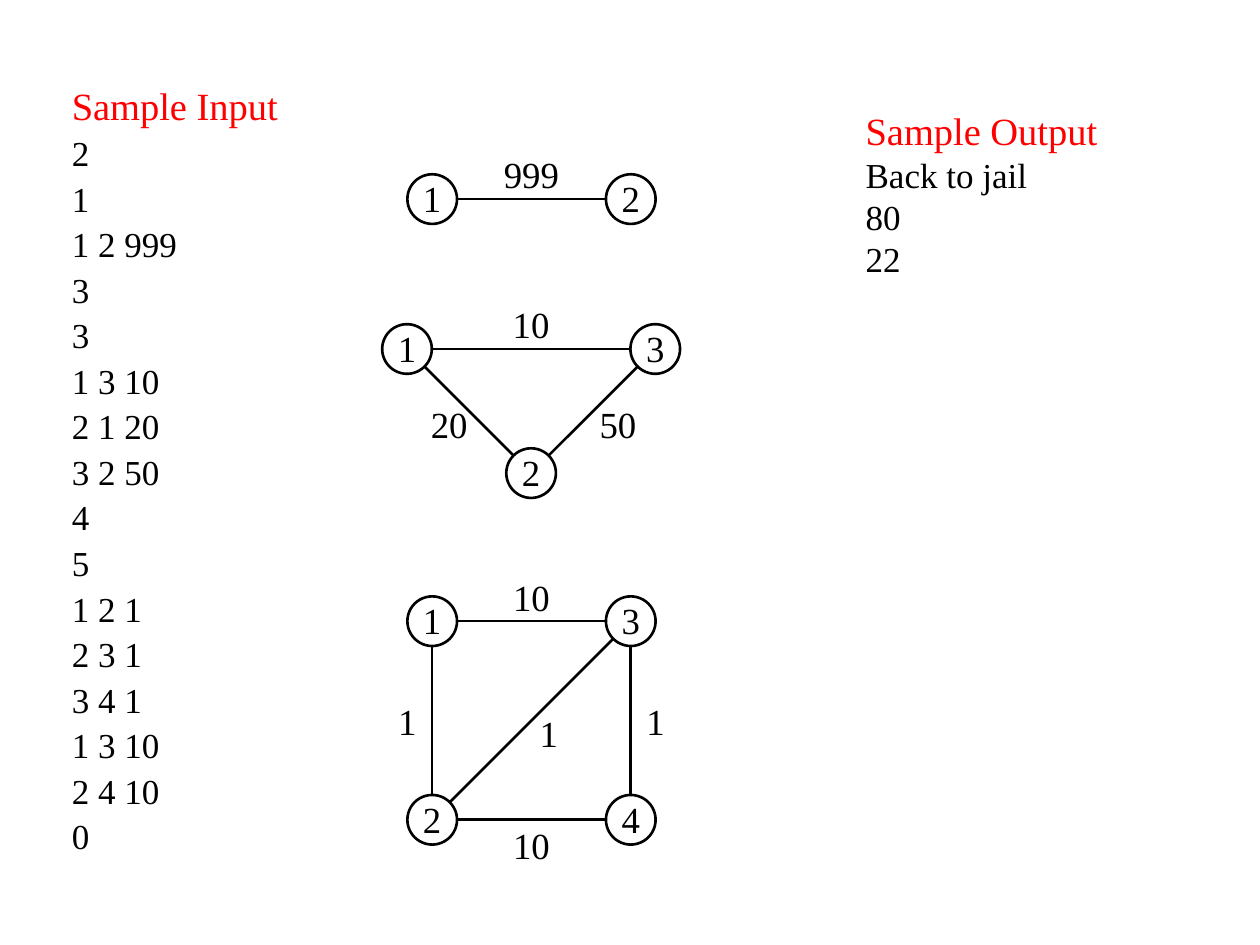
from math import hypot

from lxml import etree
from pptx import Presentation
from pptx.dml.color import RGBColor
from pptx.enum.shapes import MSO_CONNECTOR, MSO_SHAPE
from pptx.enum.text import MSO_ANCHOR, MSO_AUTO_SIZE, PP_ALIGN
from pptx.oxml.ns import qn
from pptx.util import Inches, Pt

FONT = "Times New Roman"
BLACK, WHITE, RED = "000000", "FFFFFF", "FF0000"
GRID = 0.197  # inches per graph grid step, also the node radius

SAMPLE_INPUT = ["2", "1", "1 2 999", "3", "3", "1 3 10", "2 1 20", "3 2 50",
                "4", "5", "1 2 1", "2 3 1", "3 4 1", "1 3 10", "2 4 10", "0"]
SAMPLE_OUTPUT = ["Back to jail", "80", "22"]

# Node centres, and weights as (text, centre x, centre y, box width),
# are in grid steps from the graph's first node.
GRAPHS = [
    {"origin": (3.43, 1.58),
     "nodes": {"1": (0, 0), "2": (8, 0)},
     "edges": ["12"],
     "weights": [("999", 4, -1, 4)]},
    {"origin": (3.23, 2.77),
     "nodes": {"1": (0, 0), "2": (5, 5), "3": (10, 0)},
     "edges": ["13", "32", "12"],
     "weights": [("10", 5, -1, 2), ("20", 1.7, 3, 3), ("50", 8.5, 3, 3)]},
    {"origin": (3.43, 4.93),
     "nodes": {"1": (0, 0), "2": (0, 8), "3": (8, 0), "4": (8, 8)},
     "edges": ["13", "12", "23", "34", "24"],
     "weights": [("10", 4, -1, 2), ("1", -1, 4, 2), ("1", 4.7, 4.5, 3),
                 ("1", 9, 4, 2), ("10", 4, 9, 2)]},
]


def color(value):
    return RGBColor.from_string(value)


def set_attributes(target, values):
    for name, value in values.items():
        setattr(target, name, value)


def format_font(font, size, value):
    set_attributes(font, {"name": FONT, "size": Pt(size)})
    font.color.rgb = color(value)


def add_sample(placeholder, box, heading, lines, gap, indent):
    """Fill a body placeholder with a red heading and unbulleted lines."""
    left, top, width, height = map(Inches, box)
    set_attributes(placeholder, {"left": left, "top": top,
                                 "width": width, "height": height})
    frame = placeholder.text_frame
    set_attributes(frame, {"auto_size": MSO_AUTO_SIZE.NONE, "word_wrap": True})
    frame.text = "\n".join([heading, *lines])
    for index, paragraph in enumerate(frame.paragraphs):
        size, value = (20, BLACK) if index else (22, RED)
        properties = paragraph._p.get_or_add_pPr()
        properties.set("marL", str(Inches(indent)))
        properties.set("indent", str(Inches(-indent)))
        etree.SubElement(properties, qn("a:buNone"))
        set_attributes(paragraph, {"line_spacing": Pt(1.2 * size),
                                   "space_before": Pt(gap if index else 0)})
        format_font(paragraph.font, size, value)


def format_label(shape, text, bottom=0):
    frame = shape.text_frame
    set_attributes(frame, {"margin_left": 0, "margin_right": 0, "margin_top": 0,
                           "margin_bottom": Inches(bottom), "word_wrap": False,
                           "vertical_anchor": MSO_ANCHOR.MIDDLE})
    paragraph = frame.paragraphs[0]
    paragraph.text = text
    paragraph.alignment = PP_ALIGN.CENTER
    format_font(paragraph.font, 21, BLACK)


def add_node(slide, box, text):
    shape = slide.shapes.add_shape(MSO_SHAPE.OVAL, *box)
    shape.shadow.inherit = False
    shape.fill.solid()
    shape.fill.fore_color.rgb = color(WHITE)
    shape.line.color.rgb = color(BLACK)
    shape.line.width = Pt(1.5)
    format_label(shape, text, bottom=0.02)


def add_edge(slide, start, end):
    """Join the rims of two nodes whose centres are given in inches."""
    across, down = end[0] - start[0], end[1] - start[1]
    share = GRID / hypot(across, down)
    shift_x, shift_y = across * share, down * share
    line = slide.shapes.add_connector(
        MSO_CONNECTOR.STRAIGHT,
        Inches(start[0] + shift_x), Inches(start[1] + shift_y),
        Inches(end[0] - shift_x), Inches(end[1] - shift_y))
    line.line.color.rgb = color(BLACK)
    line.line.width = Pt(1.5)
    etree.SubElement(line._element.spPr, qn("a:effectLst"))


def add_graph(slide, origin, nodes, edges, weights):
    def place(x, y):
        return origin[0] + x * GRID, origin[1] + y * GRID

    def box_around(x, y, steps_wide=2):
        left, top = place(x - steps_wide / 2, y - 1)
        return [Inches(value) for value in
                (left, top, steps_wide * GRID, 2 * GRID)]

    for start, end in edges:
        add_edge(slide, place(*nodes[start]), place(*nodes[end]))
    for name, position in nodes.items():
        add_node(slide, box_around(*position), name)
    for text, *position in weights:
        format_label(slide.shapes.add_textbox(*box_around(*position)), text)


def main():
    presentation = Presentation()
    set_attributes(presentation, {"slide_width": Inches(10),
                                  "slide_height": Inches(7.5)})
    two_content_layout = presentation.slide_layouts[3]
    slide = presentation.slides.add_slide(two_content_layout)
    title, input_body, output_body = slide.placeholders
    title._element.getparent().remove(title._element)
    add_sample(input_body, (0.47, 0.6, 2.17, 6.3), "Sample Input",
               SAMPLE_INPUT, gap=2, indent=0.38)
    add_sample(output_body, (6.77, 0.8, 2.17, 1.57), "Sample Output",
               SAMPLE_OUTPUT, gap=0, indent=0)
    for graph in GRAPHS:
        add_graph(slide, **graph)
    presentation.save("out.pptx")


if __name__ == "__main__":
    main()
